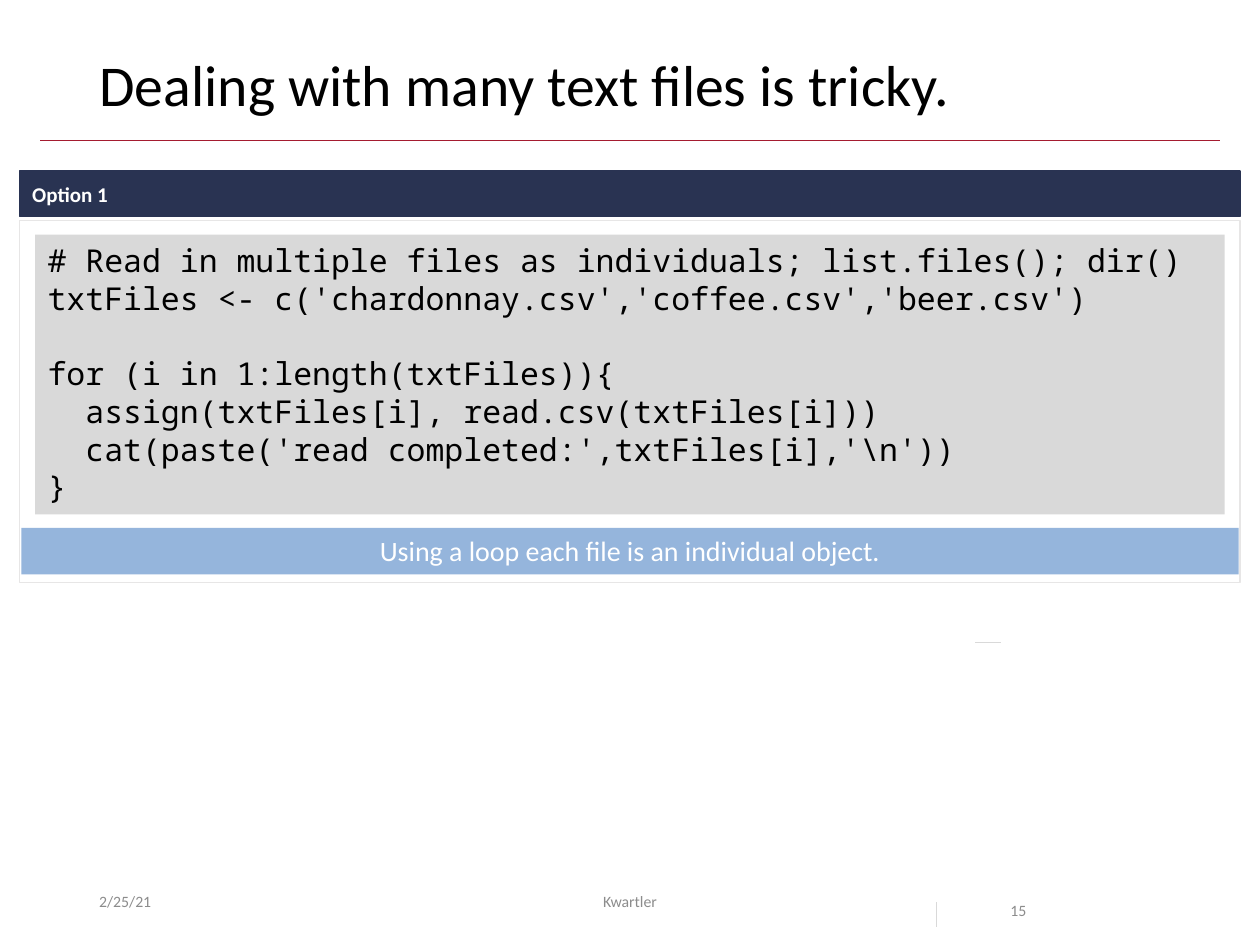
from dataclasses import dataclass

from lxml import etree
from pptx import Presentation
from pptx.dml.color import RGBColor
from pptx.enum.shapes import MSO_CONNECTOR, MSO_SHAPE
from pptx.enum.text import MSO_ANCHOR, PP_ALIGN
from pptx.oxml.ns import qn
from pptx.util import Cm, Pt

LEFT, CENTER = PP_ALIGN.LEFT, PP_ALIGN.CENTER
TOP, MIDDLE = MSO_ANCHOR.TOP, MSO_ANCHOR.MIDDLE
RECT, STRAIGHT = MSO_SHAPE.RECTANGLE, MSO_CONNECTOR.STRAIGHT


@dataclass(frozen=True)
class Theme:
    font: str = "Calibri"
    mono: str = "Noto Sans Mono"
    black: str = "000000"
    white: str = "FFFFFF"
    grey: str = "8C8C8C"
    rule: str = "A51C30"
    tick: str = "D9D9D9"
    border: str = "E7E6E6"
    navy: str = "293352"
    code_fill: str = "D9D9D9"
    blue: str = "95B5DC"
    title_size: float = 33
    code_size: float = 18
    note_size: float = 16
    header_size: float = 12
    footer_size: float = 9


def write(p, text, size, color, name=Theme.font, align=LEFT):
    p.text = text
    p.alignment = align
    p.font.size = Pt(size)
    p.font.name = name
    p.font.color.rgb = RGBColor.from_string(color)


def add_box(s, box, fill, line=None, anchor=TOP):
    sp = s.shapes.add_shape(RECT, *map(Cm, box))
    sp.shadow.inherit = False
    sp.fill.solid()
    sp.fill.fore_color.rgb = RGBColor.from_string(fill)
    if line:
        sp.line.color.rgb = RGBColor.from_string(line)
        sp.line.width = Pt(0.75)
    else:
        sp.line.fill.background()
    sp.text_frame.word_wrap = True
    sp.text_frame.vertical_anchor = anchor
    return sp.text_frame


theme = Theme()
prs = Presentation()
prs.slide_width, prs.slide_height = Cm(25.4), Cm(19.05)
s = prs.slides.add_slide(prs.slide_layouts[5])

title = s.shapes.title
title.left, title.top, title.width, title.height = Cm(1.75), Cm(1.02), Cm(21.9), Cm(1.65)
tf = title.text_frame
tf.vertical_anchor = TOP
p = tf.paragraphs[0]
write(p, "Dealing with many text files is tricky.", theme.title_size, theme.black)
p.line_spacing = 0.9

footers = [
    ("2/25/21", 1.75, 5.72, LEFT, MIDDLE, 1),
    ("Kwartler", 8.41, 8.58, CENTER, MIDDLE, 1),
    ("15", 20.12, 2.39, LEFT, TOP, 2),
]
for text, left, width, align, anchor, spacing in footers:
    tf = s.shapes.add_textbox(Cm(left), Cm(17.65), Cm(width), Cm(1.02)).text_frame
    tf.word_wrap = True
    tf.vertical_anchor = anchor
    p = tf.paragraphs[0]
    write(p, text, theme.footer_size, theme.grey, align=align)
    p.line_spacing = spacing

add_box(s, (0.4, 4.45, 24.6, 7.29), theme.white, theme.border)

tf = add_box(s, (0.4, 3.45, 24.6, 0.92), theme.navy, theme.navy, MIDDLE)
tf.margin_top = tf.margin_bottom = Cm(0.25)
write(tf.paragraphs[0], "Option 1", theme.header_size, theme.white)
tf.paragraphs[0].font.bold = True

code = [
    ("# Read in multiple files as individuals; list.files(); dir()", 0, 0),
    ("txtFiles <- c('chardonnay.csv','coffee.csv','beer.csv')", 0, 0),
    ("for (i in 1:length(txtFiles)){", 0, 21.5),
    ("assign(txtFiles[i], read.csv(txtFiles[i]))", 21.6, 0),
    ("cat(paste('read completed:',txtFiles[i],'\\n'))", 21.6, 0),
    ("}", 0, 0),
]
tf = add_box(s, (0.71, 4.73, 23.98, 5.64), theme.code_fill)
for i, (text, indent, gap) in enumerate(code):
    p = tf.add_paragraph() if i else tf.paragraphs[0]
    write(p, text, theme.code_size, theme.black, theme.mono)
    p.space_before = Pt(gap)
    p._p.get_or_add_pPr().set("marL", str(Pt(indent)))

tf = add_box(s, (0.43, 10.64, 24.54, 0.94), theme.blue)
write(tf.paragraphs[0], "Using a loop each file is an individual object.",
      theme.note_size, theme.white, align=CENTER)

lines = [
    (0.81, 2.84, 24.59, 2.84, theme.rule),
    (18.87, 18.19, 18.87, 18.69, theme.tick),
    (19.66, 12.95, 20.17, 12.95, theme.tick),
]
for *ends, color in lines:
    cx = s.shapes.add_connector(STRAIGHT, *map(Cm, ends))
    cx.line.color.rgb = RGBColor.from_string(color)
    cx.line.width = Pt(0.5)
    etree.SubElement(cx._element.spPr, qn("a:effectLst"))

prs.save("out.pptx")
